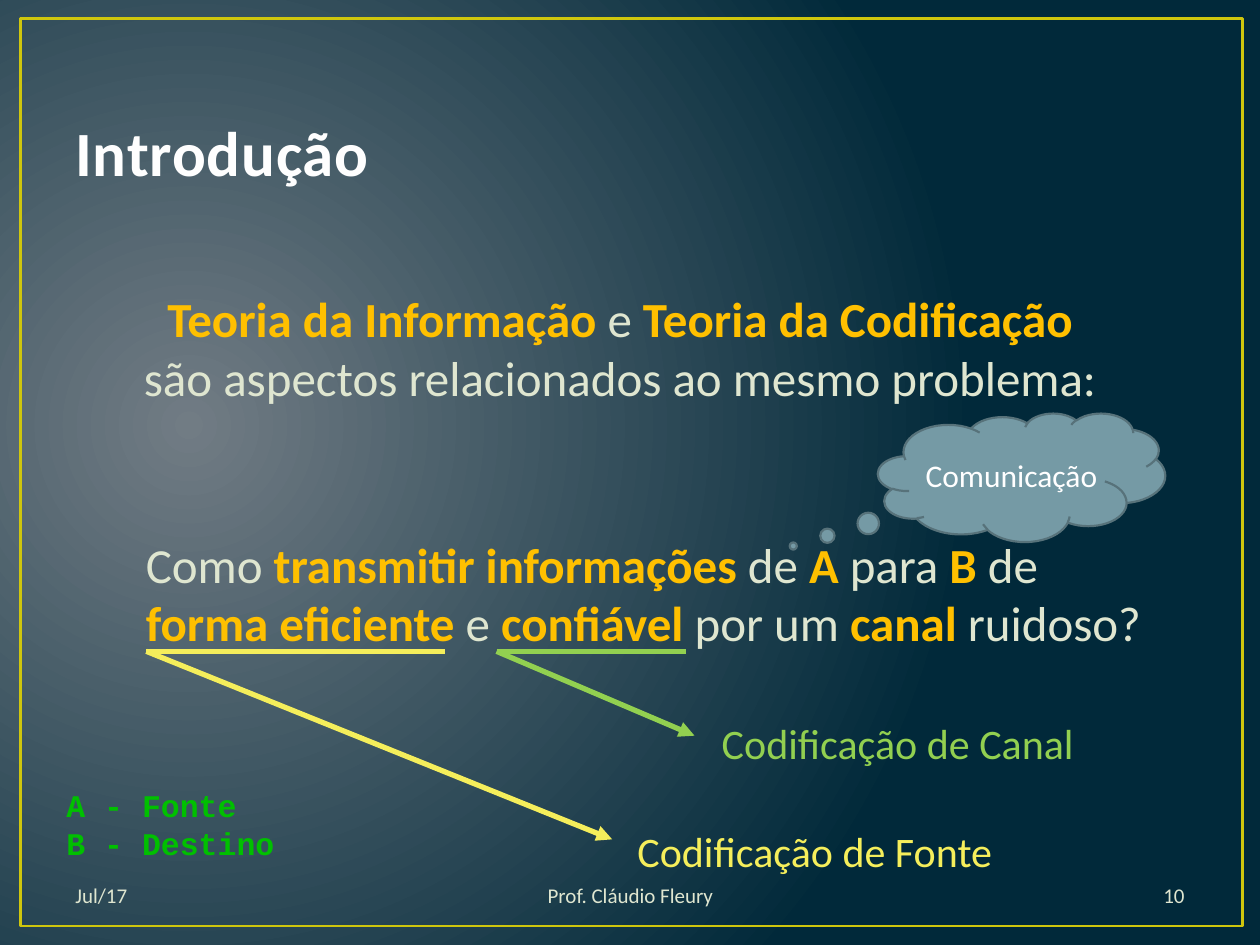
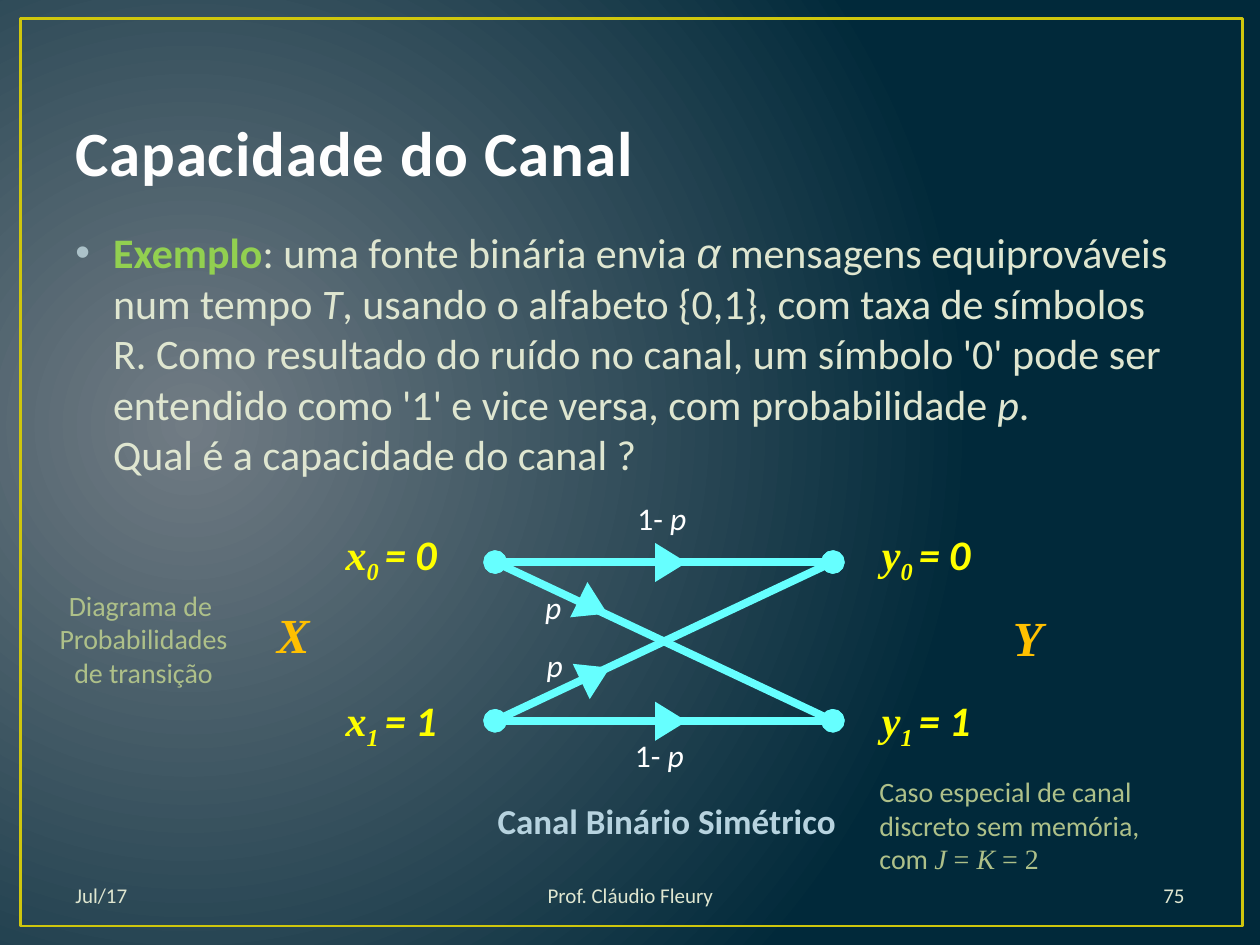
from pptx import Presentation
from pptx.dml.color import RGBColor
from pptx.enum.shapes import MSO_CONNECTOR, MSO_SHAPE
from pptx.enum.text import MSO_ANCHOR, MSO_AUTO_SIZE, PP_ALIGN
from pptx.oxml import parse_xml
from pptx.oxml.ns import nsdecls, qn
from pptx.util import Cm, Pt
from lxml import etree

STRAIGHT = MSO_CONNECTOR.STRAIGHT
RECT, CLOUD, TRIANGLE = MSO_SHAPE.RECTANGLE, MSO_SHAPE.CLOUD_CALLOUT, MSO_SHAPE.ISOSCELES_TRIANGLE
MIDDLE, BOTTOM = MSO_ANCHOR.MIDDLE, MSO_ANCHOR.BOTTOM
LEFT, CENTER, RIGHT = PP_ALIGN.LEFT, PP_ALIGN.CENTER, PP_ALIGN.RIGHT
FIT, NO_FIT = MSO_AUTO_SIZE.SHAPE_TO_FIT_TEXT, MSO_AUTO_SIZE.NONE

GLOW, NAVY, GOLD = "717C84", "01293A", "CFC60D"
TITLE, TITLE_EDGE, BODY, WHITE = "FEFEFE", "384F55", "DFE6D0", "FFFFFF"
AMBER, LIME, LEMON, GREEN = "FFC000", "92D050", "F5EE5B", "00C000"
CLOUD_FILL, CLOUD_EDGE, BULLET = "759AA5", "57727A", "ACC2C9"
CYAN, YELLOW, NOTE, CAPTION = "66FFFF", "FFFF00", "AEC089", "B7D3DF"
SANS, SERIF, MONO = "Calibri", "Times New Roman", "Courier New"

KEY = dict(color=AMBER, bold=True)
ITALIC = dict(italic=True)
SERIF_ITALIC = dict(font=SERIF, italic=True)


def rgb(value):
    """Turn a hex string into a colour."""
    return RGBColor.from_string(value)


def add_run(p, text, size=18, color=BODY, font=SANS, bold=False, italic=False, base=0, spacing=0, edge=None):
    """Add a formatted run to a paragraph; a newline becomes a line break."""
    for i, line in enumerate(text.split("\n")):
        if i:
            p.add_line_break()
        if not line:
            continue
        r = p.add_run()
        r.text = line
        f = r.font
        f.size, f.name, f.bold, f.italic = Pt(size), font, bold, italic
        f.color.rgb = rgb(color)
        rPr = r._r.get_or_add_rPr()
        if base:
            rPr.set("baseline", str(base * 1000))
        if spacing:
            rPr.set("spc", str(int(spacing * 100)))
        if edge:
            rPr.insert(0, parse_xml(
                f'<a:ln {nsdecls("a")} w="13335"><a:solidFill><a:srgbClr val="{edge}"/></a:solidFill></a:ln>'))


def fill_text(tf, paragraphs, align=LEFT, **fmt):
    """Write paragraphs, each a string or a list of strings and (string, format) pairs."""
    for i, runs in enumerate(paragraphs):
        p = tf.paragraphs[0] if i == 0 else tf.add_paragraph()
        p.alignment = align
        for run in [runs] if isinstance(runs, str) else runs:
            text, extra = (run, {}) if isinstance(run, str) else run
            add_run(p, text, **{**fmt, **extra})


def add_text(s, x, y, w, h, *paragraphs, wrap=False, anchor=None, **fmt):
    """Add a text box and return its text frame."""
    tf = s.shapes.add_textbox(Cm(x), Cm(y), Cm(w), Cm(h)).text_frame
    tf.word_wrap = wrap
    tf.auto_size = NO_FIT if wrap else FIT
    if anchor is not None:
        tf.vertical_anchor = anchor
    fill_text(tf, paragraphs, **fmt)
    return tf


def indent(p, left, first=0, bullet=None):
    """Set paragraph indents in cm and an optional bullet."""
    pPr = p._p.get_or_add_pPr()
    pPr.set("marL", str(Cm(left)))
    pPr.set("indent", str(Cm(first)))
    if bullet:
        color = etree.SubElement(pPr, qn("a:buClr"))
        etree.SubElement(color, qn("a:srgbClr"), val=BULLET)
        etree.SubElement(pPr, qn("a:buFont"), typeface="Arial")
        etree.SubElement(pPr, qn("a:buChar"), char=bullet)


def add_shape(s, kind, x, y, w, h, fill=None, line=None, width=1.0, rotation=0):
    """Add a preset shape with optional fill and outline."""
    sp = s.shapes.add_shape(kind, Cm(x), Cm(y), Cm(w), Cm(h))
    sp.shadow.inherit = False
    sp.rotation = rotation
    if fill:
        sp.fill.solid()
        sp.fill.fore_color.rgb = rgb(fill)
    else:
        sp.fill.background()
    if line:
        sp.line.color.rgb = rgb(line)
        sp.line.width = Pt(width)
    else:
        sp.line.fill.background()
    return sp


def add_line(s, start, end, color, width, head=None, tail=None):
    """Add a straight line with optional end marks."""
    c = s.shapes.add_connector(STRAIGHT, *(Cm(v) for v in start + end))
    c.line.color.rgb = rgb(color)
    c.line.width = Pt(width)
    ln = c.line._get_or_add_ln()
    for tag, mark in (("a:headEnd", head), ("a:tailEnd", tail)):
        if mark:
            etree.SubElement(ln, qn(tag), type=mark)
    etree.SubElement(c._element.spPr, qn("a:effectLst"))


def set_background(s):
    """Give the slide the radial glow on navy."""
    stops = "".join(f'<a:gs pos="{pos}"><a:srgbClr val="{color}"/></a:gs>'
                    for pos, color in ((0, GLOW), (100000, NAVY)))
    s.element.cSld.insert(0, parse_xml(
        f'<p:bg {nsdecls("p", "a")}><p:bgPr><a:gradFill rotWithShape="1"><a:gsLst>{stops}</a:gsLst>'
        '<a:path path="circle"><a:fillToRect l="15000" t="50000" r="85000" b="60000"/></a:path>'
        '</a:gradFill><a:effectLst/></p:bgPr></p:bg>'))


def add_slide(prs, title, number):
    """Add a slide with background, frame, title and footers."""
    s = prs.slides.add_slide(prs.slide_layouts[6])
    set_background(s)
    add_shape(s, RECT, 0.41, 0.38, 24.64, 18.29, line=GOLD, width=1.5)
    add_text(s, 1.27, 0.76, 22.86, 3.18, title, wrap=True, anchor=BOTTOM,
             size=36, color=TITLE, bold=True, spacing=0.5, edge=TITLE_EDGE)
    for x, w, text, align in ((1.27, 5.92, "Jul/17", LEFT),
                              (7.87, 9.68, "Prof. Cláudio Fleury", CENTER),
                              (18.21, 5.92, number, RIGHT)):
        add_text(s, x, 17.53, w, 1.02, text, wrap=True, anchor=MIDDLE, align=align, size=12)
    return s


def add_coding_arrow(s, x, underline_end, tip, color):
    """Underline a phrase and point from its start to a label."""
    start = (x, 13.13)
    add_line(s, start, (underline_end, 13.13), color, 3)
    add_line(s, start, tip, color, 3, tail="triangle")


def build_introduction(prs):
    """Build the slide on information and coding theory."""
    s = add_slide(prs, "Introdução", "10")
    tf = add_text(
        s, 0.71, 4.45, 23.8, 12.57,
        [("Teoria da Informação ", KEY), "e ", ("Teoria da Codificação \n", KEY),
         "são aspectos relacionados ao mesmo problema: "],
        ["Como ", ("transmitir informações ", KEY), "de ", ("A ", KEY), "para ", ("B ", KEY),
         "de \n", ("forma eficiente ", KEY), "e ", ("confiável ", KEY), "por um ",
         ("canal ", KEY), "ruidoso?"],
        wrap=True, align=CENTER, size=28)
    tf.margin_top = Cm(1.37)
    question = tf.paragraphs[1]
    question.alignment = LEFT
    question.space_before = Pt(73)
    indent(question, 1.98)

    cloud = add_shape(s, CLOUD, 17.7, 8.33, 5.79, 2.59, CLOUD_FILL, CLOUD_EDGE, 1.25)
    cloud.adjustments[0], cloud.adjustments[1] = -0.795, 0.534
    tf = cloud.text_frame
    tf.margin_left = tf.margin_right = Cm(0.1)
    tf.vertical_anchor = MIDDLE
    fill_text(tf, ["Comunicação"], align=CENTER, color=WHITE)

    add_coding_arrow(s, 2.95, 8.97, (12.34, 16.92), LEMON)
    add_coding_arrow(s, 10.01, 13.82, (14, 14.83), LIME)
    add_text(s, 12.6, 16.51, 7.82, 1.27, "Codificação de Fonte", size=24, color=LEMON)
    add_text(s, 14.3, 14.33, 8, 1.27, "Codificação de Canal", size=24, color=LIME)
    add_text(s, 1.09, 15.72, 4.72, 1.8, "A - Fonte", "B - Destino", color=GREEN, font=MONO, bold=True)


def add_channel_diagram(s):
    """Draw the transition diagram of the binary symmetric channel."""
    levels = (11.33, 14.53)
    for y_in in levels:
        for y_out in levels:
            add_line(s, (9.98, y_in), (16.79, y_out), CYAN, 4.5, head="oval", tail="oval")
    for symbol, x, w in (("x", 6.72, 2.62), ("y", 17.53, 2.57)):
        for bit, y in enumerate((10.52, 13.87)):
            add_text(s, x, y, w, 1.27,
                     [symbol, (f"{bit} ", dict(base=-25)), (f"= {bit}", dict(font=SANS))],
                     size=24, color=YELLOW, font=SERIF, bold=True, italic=True)
    for name, x, y in (("X", 5.33, 12.07), ("Y", 20.17, 12.12)):
        add_text(s, x, y, 1.15, 1.45, name, size=28, color=AMBER, font=SERIF, bold=True, italic=True)
    for x, y in ((12.55, 14.71), (12.6, 9.93)):
        add_text(s, x, y, 1.57, 1.02, ["1- ", ("p", ITALIC)], color=WHITE)
    for x, y in ((10.74, 11.73), (10.77, 12.9)):
        add_text(s, x, y, 0.84, 1.02, "p", color=WHITE, italic=True)
    for x, y, angle in ((13.13, 11.02, 90), (13.13, 14.22, 90),
                        (11.56, 11.91, 116), (11.61, 13.28, 64.3)):
        add_shape(s, TRIANGLE, x, y, 0.79, 0.64, CYAN, rotation=angle)
    add_text(s, 9.78, 16, 7.42, 1.12, "Canal Binário Simétrico", size=20, color=CAPTION, bold=True)


def build_capacity(prs):
    """Build the slide with the channel capacity example."""
    s = add_slide(prs, "Capacidade do Canal", "75")
    tf = add_text(
        s, 1.27, 4.45, 22.86, 13.28,
        [("Exemplo", dict(color=LIME, bold=True)), ": uma fonte binária envia ",
         ("α", dict(font="Arial", italic=True)), " mensagens equiprováveis num tempo ", ("T", ITALIC),
         ", usando o alfabeto {0,1}, com taxa de símbolos R. Como resultado do ruído no canal, "
         "um símbolo '0' pode ser entendido como '1' e vice versa, com probabilidade ",
         ("p", ITALIC), ".\nQual é a capacidade do canal ?"],
        wrap=True, size=24)
    indent(tf.paragraphs[0], 0.76, -0.76, "•")
    add_channel_diagram(s)
    add_text(s, 17.48, 15.49, 5.79, 2.39, "Caso especial de canal", "discreto sem memória,",
             ["com ", ("J", SERIF_ITALIC), (" = ", dict(font=SERIF)), ("K", SERIF_ITALIC),
              (" = 2", dict(font=SERIF))], size=16, color=NOTE)
    add_text(s, 0.89, 11.73, 4.01, 2.31, "Diagrama de ", "Probabilidades\nde transição",
             align=CENTER, size=16, color=NOTE)


def main():
    """Build and save the presentation."""
    prs = Presentation()
    prs.slide_width, prs.slide_height = Cm(25.4), Cm(19.05)
    build_introduction(prs)
    build_capacity(prs)
    prs.save("out.pptx")


if __name__ == "__main__":
    main()
